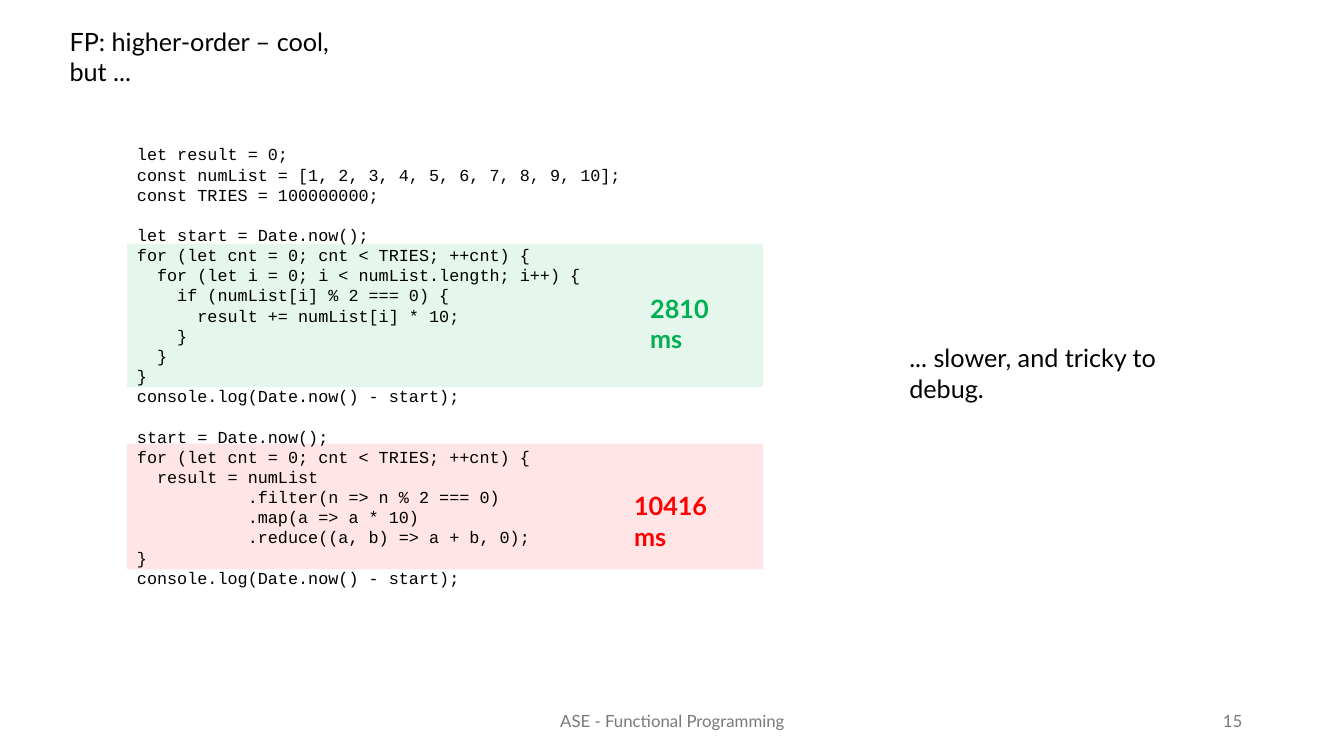
"""Build the slide that compares the speed of a loop with higher-order functions."""
import dataclasses

import pptx
import pptx.dml.color
import pptx.enum.shapes
import pptx.enum.text
import pptx.oxml
import pptx.oxml.ns
import pptx.shapes.autoshape
import pptx.slide
import pptx.util

EMU_PER_PX = 9144
CODE_LINE_PT = 14.4
COLOURS = {"black": "000000", "grey": "797979", "green": "00B050", "red": "FF0000"}
ALIGN = pptx.enum.text.PP_ALIGN
ANCHOR = pptx.enum.text.MSO_ANCHOR

CODE = """let result = 0;
const numList = [1, 2, 3, 4, 5, 6, 7, 8, 9, 10];
const TRIES = 100000000;

let start = Date.now();
for (let cnt = 0; cnt < TRIES; ++cnt) {
  for (let i = 0; i < numList.length; i++) {
    if (numList[i] % 2 === 0) {
      result += numList[i] * 10;
    }
  }
}
console.log(Date.now() - start);

start = Date.now();
for (let cnt = 0; cnt < TRIES; ++cnt) {
  result = numList
           .filter(n => n % 2 === 0)
           .map(a => a * 10)
           .reduce((a, b) => a + b, 0);
}
console.log(Date.now() - start);"""


@dataclasses.dataclass(frozen=True)
class Frame:
    """Position and size in px."""

    left: int
    top: int
    width: int
    height: int

    def emu(self) -> list[pptx.util.Emu]:
        """Return the four lengths in EMU."""
        return [pptx.util.Emu(length * EMU_PER_PX) for length in dataclasses.astuple(self)]


@dataclasses.dataclass(frozen=True)
class Label:
    """A short text with its look."""

    frame: Frame
    text: str
    colour: str = "black"
    size: int = 18
    bold: bool = False
    align: ALIGN = ALIGN.LEFT
    anchor: ANCHOR = ANCHOR.TOP


@dataclasses.dataclass(frozen=True)
class Highlight:
    """A translucent band behind a piece of code."""

    frame: Frame
    colour: str


TITLE = Label(Frame(59, 21, 338, 40), "FP: higher-order – cool, but ...")
HIGHLIGHTS = [
    Highlight(Frame(126, 440, 631, 125), "red"),
    Highlight(Frame(126, 242, 631, 142), "green"),
]
LABELS = [
    Label(Frame(442, 695, 450, 40), "ASE - Functional Programming", "grey", 12,
          align=ALIGN.CENTER, anchor=ANCHOR.MIDDLE),
    Label(Frame(942, 695, 300, 40), "15", "grey", 12,
          align=ALIGN.RIGHT, anchor=ANCHOR.MIDDLE),
    Label(Frame(635, 286, 115, 40), "2810 ms", "green", bold=True),
    Label(Frame(619, 482, 130, 40), "10416 ms", "red", bold=True),
    Label(Frame(892, 335, 343, 40), "... slower, and tricky to debug."),
]


def rgb(name: str) -> pptx.dml.color.RGBColor:
    """Look up a colour by name."""
    return pptx.dml.color.RGBColor.from_string(COLOURS[name])


def write_label(box: pptx.shapes.autoshape.Shape, label: Label) -> None:
    """Place a box and fill it with the text of a label."""
    box.left, box.top, box.width, box.height = label.frame.emu()
    frame = box.text_frame
    frame.text = label.text
    frame.word_wrap = True
    frame.auto_size = pptx.enum.text.MSO_AUTO_SIZE.NONE
    frame.vertical_anchor = label.anchor
    para = frame.paragraphs[0]
    para.alignment = label.align
    para.font.name = "Lato"
    para.font.size = pptx.util.Pt(label.size)
    para.font.bold = label.bold
    para.font.color.rgb = rgb(label.colour)


def draw_highlight(page: pptx.slide.Slide, highlight: Highlight) -> None:
    """Draw a band with ten percent opacity."""
    band = page.shapes.add_shape(
        pptx.enum.shapes.MSO_SHAPE.RECTANGLE, *highlight.frame.emu())
    band.shadow.inherit = False
    band.line.fill.background()
    band.fill.solid()
    band.fill.fore_color.rgb = rgb(highlight.colour)
    colour = band.fill._xPr.find(".//" + pptx.oxml.ns.qn("a:srgbClr"))
    colour.append(pptx.oxml.parse_xml(
        f'<a:alpha {pptx.oxml.ns.nsdecls("a")} val="10000"/>'))


def draw_code(page: pptx.slide.Slide, frame: Frame, code: str) -> None:
    """Write the code, one paragraph a line, with space between its blocks."""
    text = page.shapes.add_textbox(*frame.emu()).text_frame
    text.word_wrap = False
    blocks = code.split("\n\n")
    text.text = "\n".join(blocks)
    block_starts = {block.split("\n")[0] for block in blocks[1:]}
    for para in text.paragraphs:
        para.line_spacing = pptx.util.Pt(CODE_LINE_PT)
        if para.text in block_starts:
            para.space_before = pptx.util.Pt(CODE_LINE_PT)
        para.font.name = "Courier New"
        para.font.size = pptx.util.Pt(12)
        para.font.color.rgb = rgb("black")


def main() -> None:
    """Build and save the deck."""
    deck = pptx.Presentation()
    deck.slide_width = pptx.util.Emu(1333 * EMU_PER_PX)
    deck.slide_height = pptx.util.Emu(750 * EMU_PER_PX)
    page = deck.slides.add_slide(deck.slide_layouts.get_by_name("Title Only"))
    write_label(page.shapes.title, TITLE)
    for highlight in HIGHLIGHTS:
        draw_highlight(page, highlight)
    draw_code(page, Frame(126, 138, 508, 475), CODE)
    for label in LABELS:
        write_label(page.shapes.add_textbox(*label.frame.emu()), label)
    deck.save("out.pptx")


if __name__ == "__main__":
    main()
